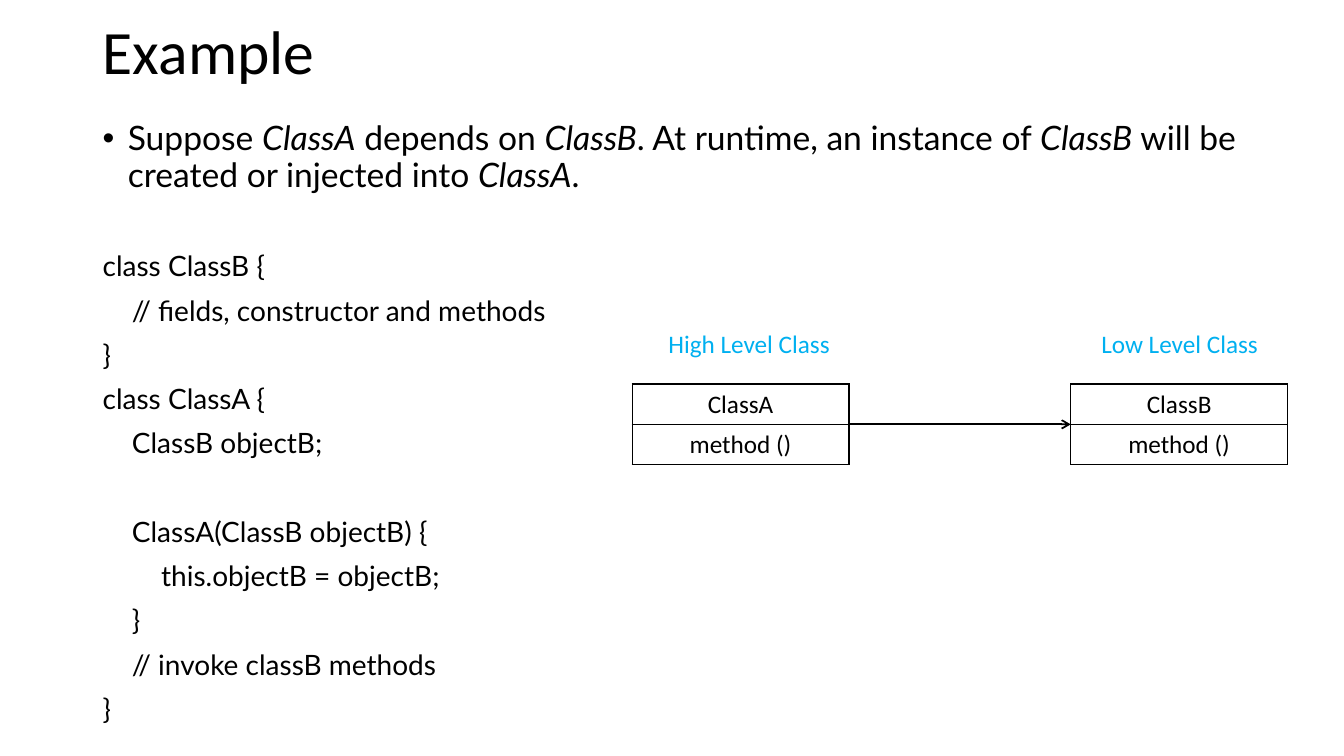
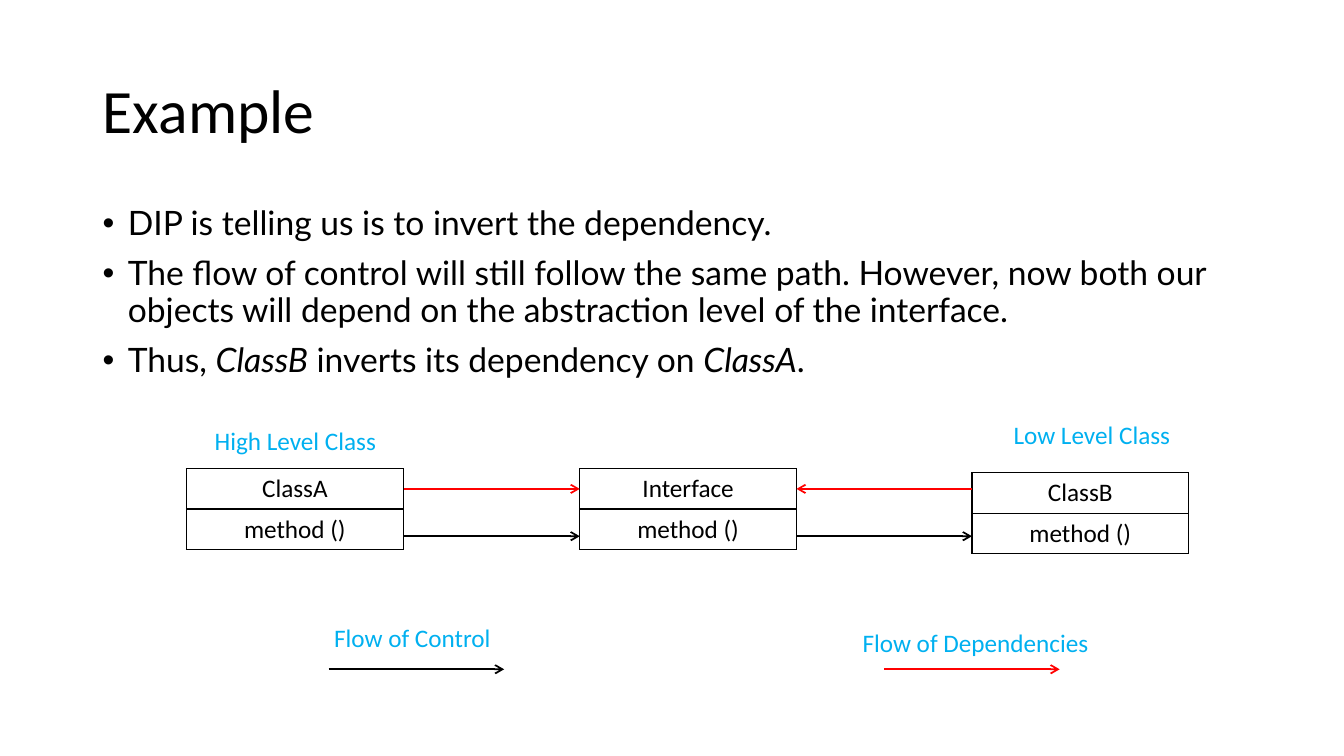
from pptx import Presentation
from pptx.dml.color import RGBColor
from pptx.enum.shapes import MSO_CONNECTOR
from pptx.enum.text import MSO_ANCHOR, PP_ALIGN
from pptx.oxml import parse_xml
from pptx.oxml.ns import nsdecls
from pptx.util import Inches, Pt

BLACK, RED, CYAN = "000000", "FF0000", "00B0F0"
BOX_W, ROW_H, STEP = 2.15, 0.4, 0.29


def paint(target, color):
    target.rgb = RGBColor.from_string(color)


def write(frame, text, size=18, font="Calibri", color=BLACK, align=PP_ALIGN.CENTER,
          lead=1.0, before=0, indent=0, bullet=False):
    """Add a paragraph; words between asterisks are italic."""
    para = frame.paragraphs[0]
    if para.runs:
        para = frame.add_paragraph()
    para.alignment = align
    para.line_spacing = lead
    para.space_before = Pt(before)
    props = para._p.get_or_add_pPr()
    props.set("marL", str(Inches(0.25 if bullet else indent)))
    props.set("indent", str(Inches(-0.25 if bullet else 0)))
    if bullet:
        props.append(parse_xml(f'<a:buFont {nsdecls("a")} typeface="Arial"/>'))
        props.append(parse_xml(f'<a:buChar {nsdecls("a")} char="•"/>'))
    for i, part in enumerate(text.split("*")):
        if part:
            run = para.add_run()
            run.text = part
            run.font.size = Pt(size)
            run.font.name = font
            run.font.italic = i % 2 == 1
            paint(run.font.color, color)


# Code lines: nesting level, space before, text
code = [
    (0, 41.6, "class ClassB {"),
    (1, 10, "// fields, constructor and methods"),
    (0, 10, "}"),
    (0, 10, "class ClassA {"),
    (1, 10, "ClassB objectB;"),
    (1, 41.6, "ClassA(ClassB objectB) {"),
    (2, 10, "this.objectB = objectB;"),
    (1, 10, "}"),
    (1, 10, "// invoke classB methods"),
    (0, 10, "}"),
]

# Boxes: left, top, name. Labels: left, top, width, text.
# Arrows: start, end, height, colour.
pages = [
    dict(
        title=(0.11, 0.86), body=(1.16, 5.59), code=code,
        points=["Suppose *ClassA* depends on *ClassB*. At runtime, an instance of "
                "*ClassB* will be created or injected into *ClassA*."],
        labels=[(6.46, 3.21, 1.94, "High Level Class"),
                (10.73, 3.21, 1.94, "Low Level Class")],
        boxes=[(6.27, 3.81, "ClassA"), (10.62, 3.81, "ClassB")],
        arrows=[(8.43, 10.62, 4.21, BLACK)],
    ),
    dict(
        title=(0.4, 1.45), body=(2, 4.76), code=[],
        points=["DIP is telling us is to invert the dependency.",
                "The flow of control will still follow the same path. However, now both "
                "our objects will depend on the abstraction level of the interface.",
                "Thus, *ClassB* inverts its dependency on *ClassA*."],
        labels=[(1.96, 4.17, 1.94, "High Level Class"),
                (9.86, 4.11, 1.94, "Low Level Class"),
                (3.12, 6.12, 1.94, "Flow of Control"),
                (8.28, 6.17, 2.79, "Flow of Dependencies")],
        boxes=[(1.85, 4.65, "ClassA"), (5.75, 4.65, "Interface"), (9.64, 4.69, "ClassB")],
        arrows=[(4.01, 5.75, 4.85, RED), (9.64, 7.9, 4.85, RED),
                (4.01, 5.75, 5.32, BLACK), (7.9, 9.64, 5.32, BLACK),
                (3.26, 5, 6.64, BLACK), (8.77, 10.51, 6.64, RED)],
    ),
]

deck = Presentation()
deck.slide_width, deck.slide_height = Inches(13.33), Inches(7.5)

for page in pages:
    slide = deck.slides.add_slide(deck.slide_layouts[5])
    shapes = slide.shapes

    # Title
    title = shapes.title
    top, height = page["title"]
    title.left, title.top = Inches(0.92), Inches(top)
    title.width, title.height = Inches(11.5), Inches(height)
    title.text_frame.vertical_anchor = MSO_ANCHOR.MIDDLE
    write(title.text_frame, "Example", size=44, align=PP_ALIGN.LEFT, lead=0.9)

    # Bullets and code
    top, height = page["body"]
    body = shapes.add_textbox(Inches(0.92), Inches(top), Inches(11.5), Inches(height)).text_frame
    body.word_wrap = True
    style = dict(font="Lato", align=PP_ALIGN.LEFT, lead=0.9)
    for point in page["points"]:
        write(body, point, size=24, before=10, bullet=True, **style)
    for level, gap, line in page["code"]:
        write(body, line, size=20, before=gap, indent=level * STEP, **style)

    # Labels
    for left, top, width, text in page["labels"]:
        label = shapes.add_textbox(Inches(left), Inches(top), Inches(width), Inches(0.4))
        label.text_frame.word_wrap = True
        write(label.text_frame, text, color=CYAN)

    # Class boxes
    for left, top, name in page["boxes"]:
        table = shapes.add_table(2, 1, Inches(left), Inches(top),
                                 Inches(BOX_W), Inches(2 * ROW_H)).table
        table.first_row = table.horz_banding = False
        for row, text in enumerate([name, "method ()"]):
            cell = table.cell(row, 0)
            write(cell.text_frame, text)
            for side in "LRTB":
                cell._tc.get_or_add_tcPr().append(parse_xml(
                    f'<a:ln{side} {nsdecls("a")} w="{Pt(1)}"><a:solidFill>'
                    f'<a:srgbClr val="{BLACK}"/></a:solidFill></a:ln{side}>'))
            cell.fill.background()

    # Arrows
    for start, end, y, color in page["arrows"]:
        arrow = shapes.add_connector(MSO_CONNECTOR.STRAIGHT, Inches(start), Inches(y),
                                     Inches(end), Inches(y))
        arrow.line.width = Pt(1.25)
        paint(arrow.line.color, color)
        arrow.line._get_or_add_ln().append(
            parse_xml(f'<a:tailEnd {nsdecls("a")} type="arrow"/>'))
        arrow._element.spPr.append(parse_xml(f'<a:effectLst {nsdecls("a")}/>'))

deck.save("out.pptx")
